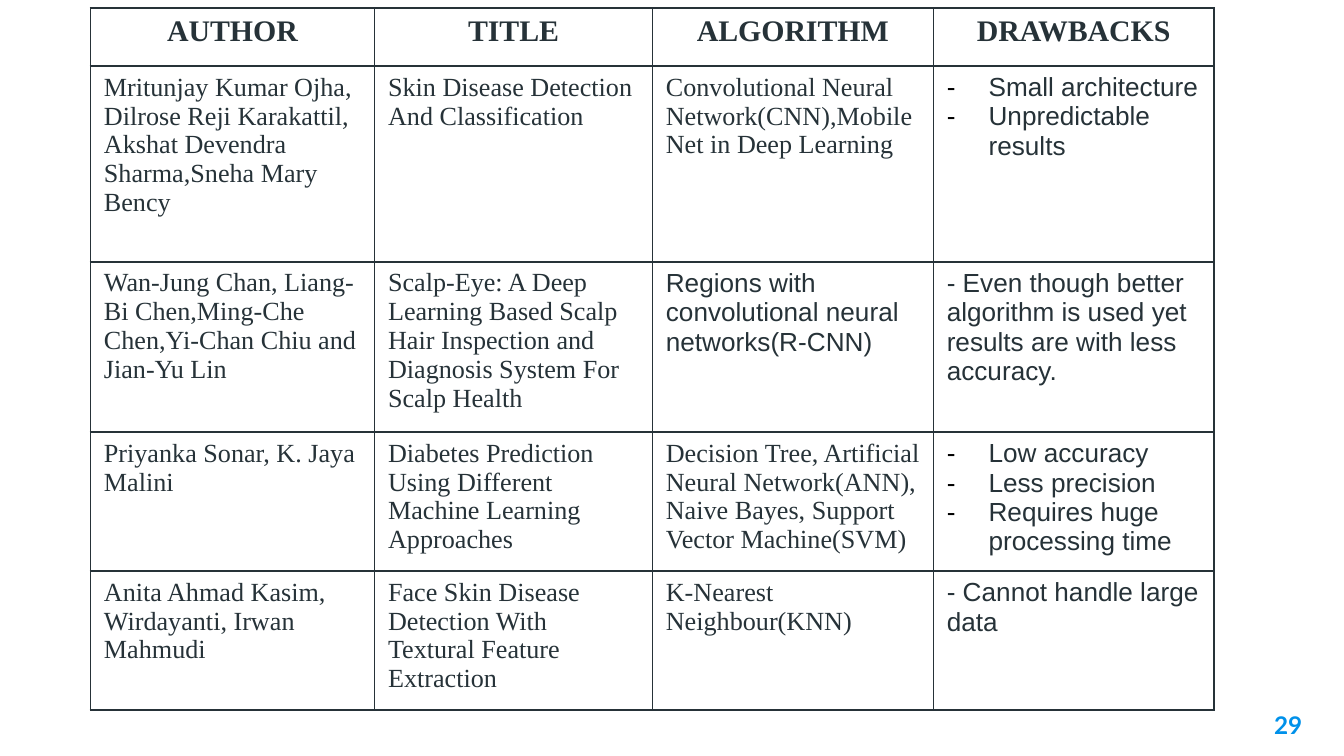
from dataclasses import dataclass

from lxml.etree import SubElement
from pptx import Presentation
from pptx.dml.color import RGBColor
from pptx.enum.text import PP_ALIGN as Align
from pptx.oxml import parse_xml
from pptx.oxml.ns import nsdecls, qn
from pptx.util import Cm, Pt


@dataclass(frozen=True)
class Theme:
    ink: str = "263238"
    accent: str = "0091EA"
    dash: str = "000000"
    serif: str = "Times New Roman"
    sans: str = "Arial"
    number_font: str = "Lato"
    heading: int = 16
    body: int = 14
    number: int = 13


theme = Theme()


def write(frame, text, font=theme.serif, size=theme.body, color=theme.ink,
          bold=False, align=Align.LEFT):
    """Fill a text frame; a list of texts becomes dashed items."""
    dashed = isinstance(text, list)
    for index, line in enumerate(text if dashed else [text]):
        paragraph = frame.add_paragraph() if index else frame.paragraphs[0]
        paragraph.alignment = align
        run = paragraph.add_run()
        run.text = line
        run.font.name = font
        run.font.size = Pt(size)
        run.font.bold = bold
        run.font.color.rgb = RGBColor.from_string(color)
        if dashed:
            props = paragraph._p.get_or_add_pPr()
            props.set("marL", str(Cm(0.79)))
            props.set("indent", str(-Cm(0.79)))
            dash_color = SubElement(props, qn("a:buClr"))
            SubElement(dash_color, qn("a:srgbClr"), val=theme.dash)
            SubElement(props, qn("a:buFont"), typeface=font)
            SubElement(props, qn("a:buChar"), char="-")


def outline(cell):
    """Draw a thin line on all four sides of a cell."""
    props = cell._tc.get_or_add_tcPr()
    for position, side in enumerate(("lnL", "lnR", "lnT", "lnB")):
        props.insert(position, parse_xml(
            f'<a:{side} {nsdecls("a")} w="{Pt(1)}"><a:solidFill>'
            f'<a:srgbClr val="{theme.ink}"/></a:solidFill></a:{side}>'))


headings = ["AUTHOR", "TITLE", "ALGORITHM", "DRAWBACKS"]
papers = [
    ["Mritunjay Kumar Ojha, Dilrose Reji Karakattil, Akshat Devendra Sharma,Sneha Mary Bency",
     "Skin Disease Detection And Classification",
     "Convolutional Neural Network(CNN),MobileNet in Deep Learning",
     ["Small architecture", "Unpredictable results"]],
    ["Wan-Jung Chan, Liang-Bi Chen,Ming-Che Chen,Yi-Chan Chiu and Jian-Yu Lin",
     "Scalp-Eye: A Deep Learning Based Scalp Hair Inspection and Diagnosis System For Scalp Health",
     "Regions with convolutional neural networks(R-CNN)",
     "- Even though better algorithm is used yet results are with less accuracy."],
    ["Priyanka Sonar, K. Jaya Malini",
     "Diabetes Prediction Using Different Machine Learning Approaches",
     "Decision Tree, Artificial Neural Network(ANN), Naive Bayes, Support Vector Machine(SVM)",
     ["Low accuracy", "Less precision", "Requires huge processing time"]],
    ["Anita Ahmad Kasim, Wirdayanti, Irwan Mahmudi",
     "Face Skin Disease Detection With Textural Feature Extraction",
     "K-Nearest Neighbour(KNN)",
     "- Cannot handle large data"],
]
sans_cells = {(1, 3), (2, 2), (2, 3), (3, 3), (4, 3)}
column_widths = [5.37, 5.25, 5.31, 5.31]
row_heights = [1.1, 3.7, 3.14, 2.55, 2.55]

deck = Presentation()
deck.slide_width, deck.slide_height = Cm(25.4), Cm(14.29)
slide = deck.slides.add_slide(deck.slide_layouts[6])

# Page number
page_number = slide.shapes.add_textbox(Cm(23.34), Cm(13.18), Cm(1.52), Cm(1.09)).text_frame
page_number.word_wrap = True
page_number.margin_left = page_number.margin_right = Cm(0.25)
page_number.margin_top = page_number.margin_bottom = Cm(0.25)
write(page_number, "29", font=theme.number_font, size=theme.number,
      color=theme.accent, bold=True, align=Align.RIGHT)

# Literature survey
survey = slide.shapes.add_table(
    len(row_heights), len(column_widths), Cm(1.71), Cm(0.15),
    Cm(sum(column_widths)), Cm(sum(row_heights))).table
survey.first_row = survey.horz_banding = False
for column, width in zip(survey.columns, column_widths):
    column.width = Cm(width)
for row, height in zip(survey.rows, row_heights):
    row.height = Cm(height)

for r, entries in enumerate([headings, *papers]):
    for c, entry in enumerate(entries):
        cell = survey.cell(r, c)
        cell.fill.background()
        outline(cell)
        if r == 0:
            write(cell.text_frame, entry, size=theme.heading, bold=True, align=Align.CENTER)
        else:
            write(cell.text_frame, entry,
                  font=theme.sans if (r, c) in sans_cells else theme.serif)

deck.save("out.pptx")
